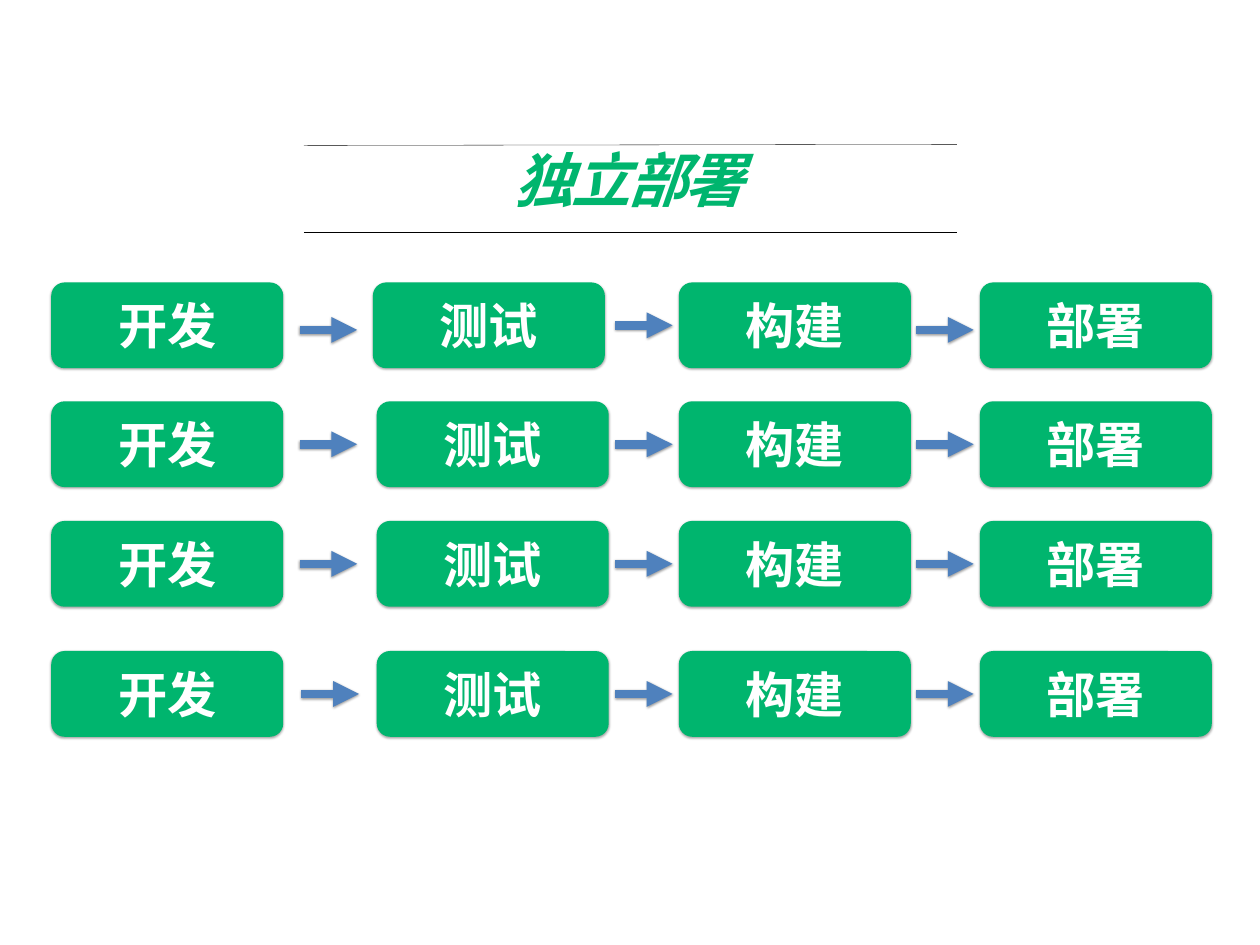
from lxml.etree import SubElement
from pptx import Presentation
from pptx.dml.color import RGBColor
from pptx.enum.shapes import MSO_CONNECTOR, MSO_SHAPE
from pptx.enum.text import MSO_ANCHOR, MSO_AUTO_SIZE, PP_ALIGN
from pptx.oxml.ns import qn
from pptx.util import Cm, Pt

COLORS = {"green": "00B56E", "blue": "4F81BD", "white": "FFFFFF", "black": "000000"}


def write(box, text, size, font, color, italic=None, margin=0, line_spacing=None, tracking=None):
    frame = box.text_frame
    frame.word_wrap = True
    frame.auto_size = MSO_AUTO_SIZE.NONE
    frame.vertical_anchor = MSO_ANCHOR.MIDDLE
    frame.margin_left = frame.margin_right = Cm(margin)
    frame.margin_top = frame.margin_bottom = Cm(margin)
    para = frame.paragraphs[0]
    para.alignment = PP_ALIGN.CENTER
    para.line_spacing = line_spacing
    span = para.add_run()
    span.text = text
    span.font.size = Pt(size)
    span.font.name = font
    span.font.bold = True
    span.font.italic = italic
    span.font.color.rgb = RGBColor.from_string(COLORS[color])
    if tracking is not None:
        span.font._element.set("spc", str(round(tracking * 100)))


def set_shadow(item, opacity):
    effects = SubElement(item._element.spPr, qn("a:effectLst"))
    if opacity:
        shadow = SubElement(effects, qn("a:outerShdw"), blurRad=str(Pt(2)), dist=str(Pt(1)),
                            dir="5400000", rotWithShape="0")
        color = SubElement(shadow, qn("a:srgbClr"), val=COLORS["black"])
        SubElement(color, qn("a:alpha"), val=str(opacity * 1000))


deck = Presentation()
deck.slide_width, deck.slide_height = Cm(36.12), Cm(27.1)
page = deck.slides.add_slide(deck.slide_layouts[5])

for start_y, end_y in [(6.65, 6.65), (4.17, 4.14)]:
    rule = page.shapes.add_connector(MSO_CONNECTOR.STRAIGHT, Cm(8.71), Cm(start_y), Cm(27.43), Cm(end_y))
    rule.line.color.rgb = RGBColor.from_string(COLORS["black"])
    rule.line.width = Pt(0.25)
    set_shadow(rule, 0)

title = page.shapes.title
title.left, title.top, title.width, title.height = Cm(8.71), Cm(4.37), Cm(18.67), Cm(2.03)
write(title, "独立部署", size=48, font="Roboto", color="green", italic=True,
      line_spacing=0.7, tracking=-1.9)

STAGES = [("开发", 1.47), ("测试", 10.8), ("构建", 19.46), ("部署", 28.09)]
ROW_TOPS = [8.1, 11.51, 14.94, 18.67]
ARROW_LEFTS = [8.59, 17.63, 26.26]
BOX_WIDTH, BOX_HEIGHT, ARROW_LENGTH = 6.65, 2.46, 1.65
BOX_SHIFTS = {(0, 1): -0.11}
ARROW_SHIFTS = {(0, 0): (0, 0.13), (0, 2): (0, 0.13), (3, 0): (0.05, 0)}

for row, top in enumerate(ROW_TOPS):
    for column, (stage, left) in enumerate(STAGES):
        box_left = left + BOX_SHIFTS.get((row, column), 0)
        box = page.shapes.add_shape(MSO_SHAPE.ROUNDED_RECTANGLE, Cm(box_left), Cm(top),
                                    Cm(BOX_WIDTH), Cm(BOX_HEIGHT))
        box.adjustments[0] = 0.156
        box.fill.solid()
        box.fill.fore_color.rgb = RGBColor.from_string(COLORS["green"])
        box.line.fill.background()
        set_shadow(box, 35)
        write(box, stage, size=40, font="Calibri", color="white", margin=0.13)

    for column, left in enumerate(ARROW_LEFTS):
        shift_x, shift_y = ARROW_SHIFTS.get((row, column), (0, 0))
        x, y = left + shift_x, top + BOX_HEIGHT / 2 + shift_y
        arrow = page.shapes.add_connector(MSO_CONNECTOR.STRAIGHT, Cm(x), Cm(y), Cm(x + ARROW_LENGTH), Cm(y))
        arrow.line.color.rgb = RGBColor.from_string(COLORS["blue"])
        arrow.line.width = Pt(7)
        SubElement(arrow.get_or_add_ln(), qn("a:tailEnd"), type="triangle")
        set_shadow(arrow, 38)

deck.save("out.pptx")
